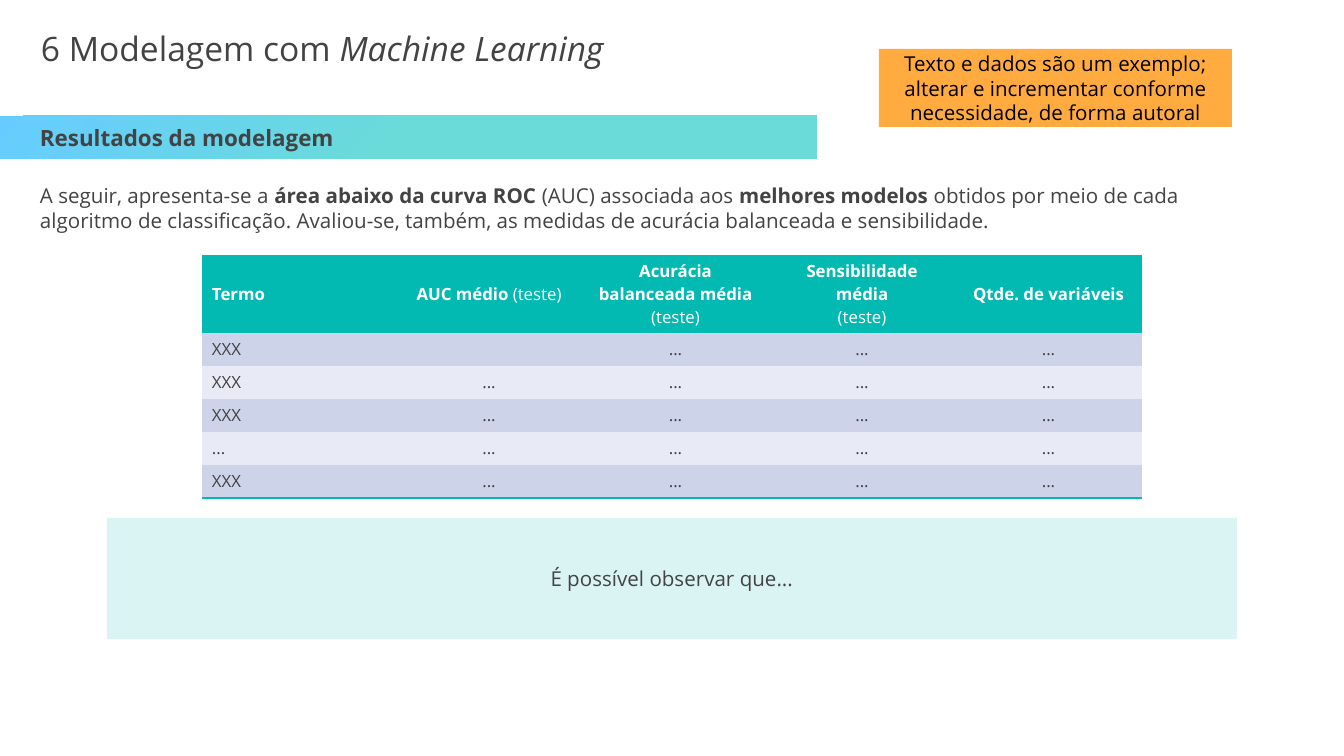
from lxml import etree
from pptx import Presentation
from pptx import util as u
from pptx.dml.color import RGBColor
from pptx.enum import shapes, text
from pptx.oxml import parse_xml
from pptx.oxml.ns import nsdecls, qn

PX = 914400 / 134.4
FONT = "Open Sans"
COLORS = {
    "ink": "434343", "black": "000000", "white": "FFFFFF",
    "teal": "02BAB1", "aqua": "6ADBD9", "sky": "66CCFF",
    "orange": "FFAB40", "band_dark": "CDD4EA", "band_light": "E8EBF5",
}
LEFT, CENTER, JUSTIFY = text.PP_ALIGN.LEFT, text.PP_ALIGN.CENTER, text.PP_ALIGN.JUSTIFY
MIDDLE, TOP = text.MSO_ANCHOR.MIDDLE, text.MSO_ANCHOR.TOP


def px(length):
    return u.Emu(round(length * PX))


def write(frame, paragraphs, size, color="ink", align=LEFT):
    """Fill a text frame; each paragraph is a list of (words, style), style "", "b" or "i"."""
    for index, spans in enumerate(paragraphs):
        para = frame.paragraphs[0] if index == 0 else frame.add_paragraph()
        para.alignment = align
        for words, style in spans:
            span = para.add_run()
            span.text = words
            span.font.name = FONT
            span.font.size = u.Pt(size)
            span.font.bold = style == "b"
            span.font.italic = style == "i"
            span.font.color.rgb = RGBColor.from_string(COLORS[color])


deck = Presentation()
deck.slide_width, deck.slide_height = px(1344), px(756)
page = deck.slides.add_slide(deck.slide_layouts[6])

# Text boxes and panels: bounds, fill, side insets, anchor, text
title = [("6 Modelagem com ", ""), ("Machine Learning", "i")]
intro = [
    ("A seguir, apresenta-se a ", ""), ("área abaixo da curva ROC ", "b"),
    ("(AUC) associada aos ", ""), ("melhores modelos ", "b"),
    ("obtidos por meio de cada algoritmo de classificação. Avaliou-se, também, "
     "as medidas de acurácia balanceada e sensibilidade.", ""),
]
notice = [("Texto e dados são um exemplo; alterar e incrementar conforme "
           "necessidade, de forma autoral", "")]
blocks = [
    ((31, 9, 730, 78), None, (10, 10), MIDDLE, title, 18, "ink", JUSTIFY),
    ((0, 116, 817, 43), "gradient", (40, 10), MIDDLE,
     [("Resultados da modelagem", "b")], 12, "ink", LEFT),
    ((20, 178, 1230, 366), None, (20, 0), TOP, intro, 11, "ink", LEFT),
    ((879, 49, 353, 78), "orange", (10, 10), MIDDLE, notice, 11, "black", CENTER),
    ((107, 518, 1130, 121), "teal", (20, 20), MIDDLE,
     [("É possível observar que...", "")], 11, "ink", CENTER),
]
for bounds, fill, insets, anchor, spans, size, color, align in blocks:
    place = [px(length) for length in bounds]
    if fill is None:
        box = page.shapes.add_textbox(*place)
    else:
        box = page.shapes.add_shape(shapes.MSO_SHAPE.RECTANGLE, *place)
        box.shadow.inherit = False
        box.line.fill.background()
    if fill == "gradient":
        stops = "".join(
            f'<a:gs pos="{pos}"><a:srgbClr val="{COLORS[name]}"/></a:gs>'
            for pos, name in ((0, "aqua"), (50000, "aqua"), (100000, "sky")))
        gradient = parse_xml(
            f'<a:gradFill {nsdecls("a")}><a:gsLst>{stops}</a:gsLst>'
            '<a:path path="circle"><a:fillToRect l="100000" t="100000"/></a:path></a:gradFill>')
        box._element.spPr.find(qn("a:prstGeom")).addnext(gradient)
    elif fill:
        box.fill.solid()
        box.fill.fore_color.rgb = RGBColor.from_string(COLORS[fill])
    if fill == "teal":
        tint = box._element.spPr.find(qn("a:solidFill"))[0]
        etree.SubElement(tint, qn("a:alpha")).set("val", "15000")
    frame = box.text_frame
    frame.word_wrap = True
    frame.vertical_anchor = anchor
    frame.margin_left, frame.margin_right = px(insets[0]), px(insets[1])
    frame.margin_top = frame.margin_bottom = px(5)
    write(frame, [spans], size, color, align)

# Results table
header = [
    [[("Termo", "b")]],
    [[("AUC médio ", "b"), ("(teste)", "")]],
    [[("Acurácia balanceada média", "b")], [("(teste)", "")]],
    [[("Sensibilidade média", "b")], [("(teste)", "")]],
    [[("Qtde. de variáveis", "b")]],
]
terms = ["XXX", "XXX", "XXX", "...", "XXX"]
rows = [header] + [[[[(words, "")]] for words in [term] + ["..."] * 4] for term in terms]
rows[1][1] = [[]]
widths = [194] + [186, 187] * 2
heights = [78] + [33] * len(terms)

graphic = page.shapes.add_table(len(rows), len(widths), px(202), px(255),
                                px(sum(widths)), px(sum(heights)))
table = graphic.table
table.horz_banding = False
no_style = "{2D5ABB26-0587-4C30-8999-92F81FD0307C}"
table._tbl.tblPr.find(qn("a:tableStyleId")).text = no_style
for column, width in zip(table.columns, widths):
    column.width = px(width)
for row, height in zip(table.rows, heights):
    row.height = px(height)

for r, row in enumerate(rows):
    band = "teal" if r == 0 else "band_dark" if r % 2 else "band_light"
    for c, paragraphs in enumerate(row):
        cell = table.cell(r, c)
        cell.vertical_anchor = MIDDLE
        cell.margin_left = cell.margin_right = px(10)
        cell.margin_top = cell.margin_bottom = px(5)
        if r == len(rows) - 1:
            cell._tc.get_or_add_tcPr().append(parse_xml(
                f'<a:lnB {nsdecls("a")} w="12700"><a:solidFill>'
                f'<a:srgbClr val="{COLORS["teal"]}"/></a:solidFill></a:lnB>'))
        cell.fill.solid()
        cell.fill.fore_color.rgb = RGBColor.from_string(COLORS[band])
        write(cell.text_frame, paragraphs, 9, "white" if r == 0 else "ink",
              CENTER if c else LEFT)
        if not paragraphs[0]:
            # An empty cell takes its line height from the end-of-paragraph size
            end = etree.SubElement(cell.text_frame.paragraphs[0]._p, qn("a:endParaRPr"))
            end.set("sz", "900")

deck.save("out.pptx")
